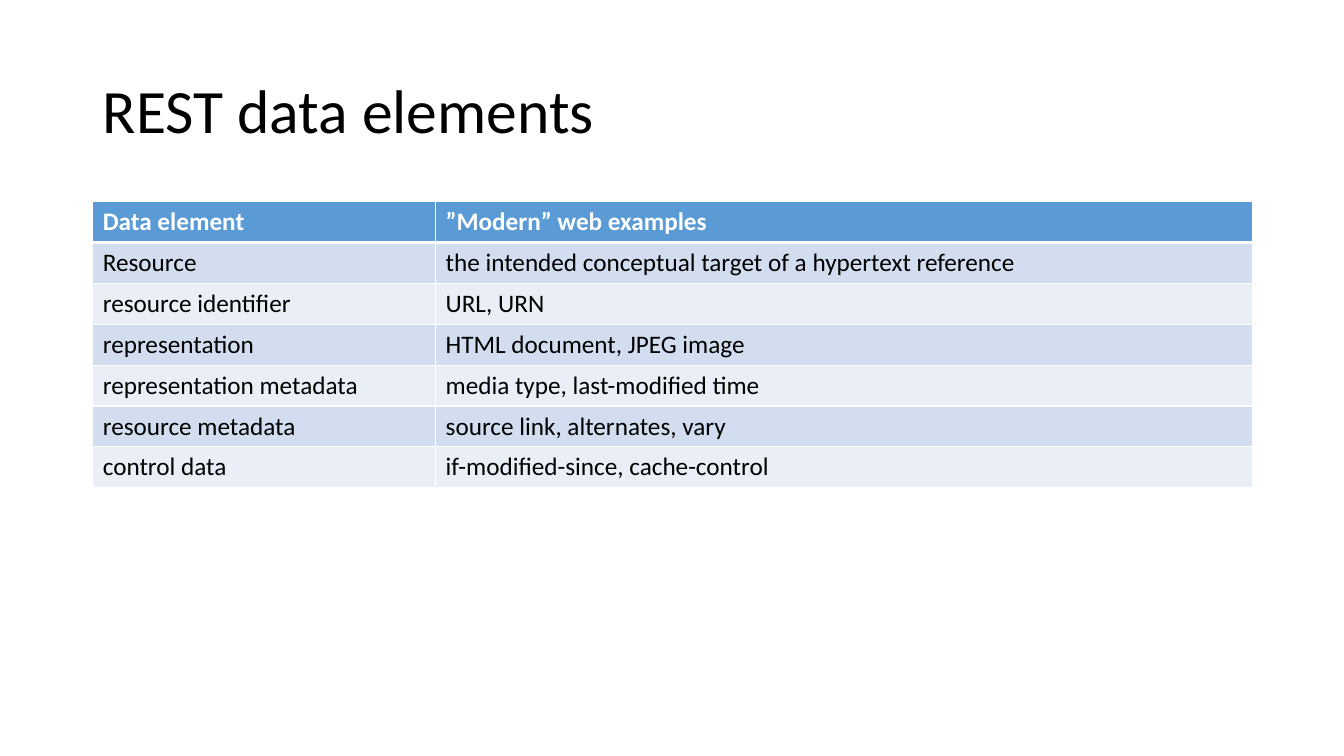
from lxml.etree import SubElement
from pptx import Presentation
from pptx.dml.color import RGBColor
from pptx.enum.text import MSO_ANCHOR, PP_ALIGN
from pptx.oxml.ns import qn
from pptx.util import Inches, Pt

COLORS = {"text": "000000", "white": "FFFFFF", "header": "5B9BD5",
          "odd": "D2DEEF", "even": "EAEFF7"}
FONT = "Calibri"
ROWS = [
    ("Data element", "”Modern” web examples"),
    ("Resource", "the intended conceptual target of a hypertext reference"),
    ("resource identifier", "URL, URN"),
    ("representation", "HTML document, JPEG image"),
    ("representation metadata", "media type, last-modified time"),
    ("resource metadata", "source link, alternates, vary"),
    ("control data", "if-modified-since, cache-control"),
]
COLUMN_SHARES = (3.4 / 11.5, 8.1 / 11.5)


def style_font(font, size, color, bold=False):
    """Set the face, size, colour and weight of a font."""
    font.name, font.size, font.bold = FONT, Pt(size), bold
    font.color.rgb = RGBColor.from_string(COLORS[color])


def add_borders(cell, top, bottom):
    """Draw white cell borders with the given top and bottom widths in points."""
    properties = cell._tc.get_or_add_tcPr()
    for side, width in (("L", 1), ("R", 1), ("T", top), ("B", bottom)):
        line = SubElement(properties, qn(f"a:ln{side}"), w=str(Pt(width)))
        fill = SubElement(line, qn("a:solidFill"))
        SubElement(fill, qn("a:srgbClr"), val=COLORS["white"])


def place_title(page, text, left, top, width, height):
    """Place and format the title placeholder in its box."""
    title = page.shapes.title
    title.left, title.top, title.width, title.height = left, top, width, height
    frame = title.text_frame
    frame.text = text
    frame.word_wrap = True
    frame.vertical_anchor = MSO_ANCHOR.MIDDLE
    para = frame.paragraphs[0]
    para.alignment, para.line_spacing = PP_ALIGN.LEFT, 0.9
    style_font(para.font, 44, "text")


def place_table(page, rows, left, top, width, height):
    """Fill a banded table with a header row inside its box."""
    table = page.shapes.add_table(len(rows), len(COLUMN_SHARES),
                                  left, top, width, height).table
    for column, share in zip(table.columns, COLUMN_SHARES):
        column.width = round(width * share)
    for index, texts in enumerate(rows):
        header = index == 0
        band = "header" if header else ("even", "odd")[index % 2]
        for cell, text in zip(table.rows[index].cells, texts):
            cell.text = text
            add_borders(cell, 3 if index == 1 else 1, 3 if header else 1)
            cell.fill.solid()
            cell.fill.fore_color.rgb = RGBColor.from_string(COLORS[band])
            style_font(cell.text_frame.paragraphs[0].font, 18,
                       "white" if header else "text", header)


def build_deck():
    """Build the single-slide deck and save it."""
    deck = Presentation()
    deck.slide_width, deck.slide_height = Inches(13.33), Inches(7.5)
    page = deck.slides.add_slide(deck.slide_layouts[5])
    left, width = Inches(0.92), Inches(11.5)
    place_title(page, "REST data elements", left, Inches(0.4), width, Inches(1.45))
    place_table(page, ROWS, left, Inches(2), width, Inches(2.84))
    deck.save("out.pptx")


build_deck()
